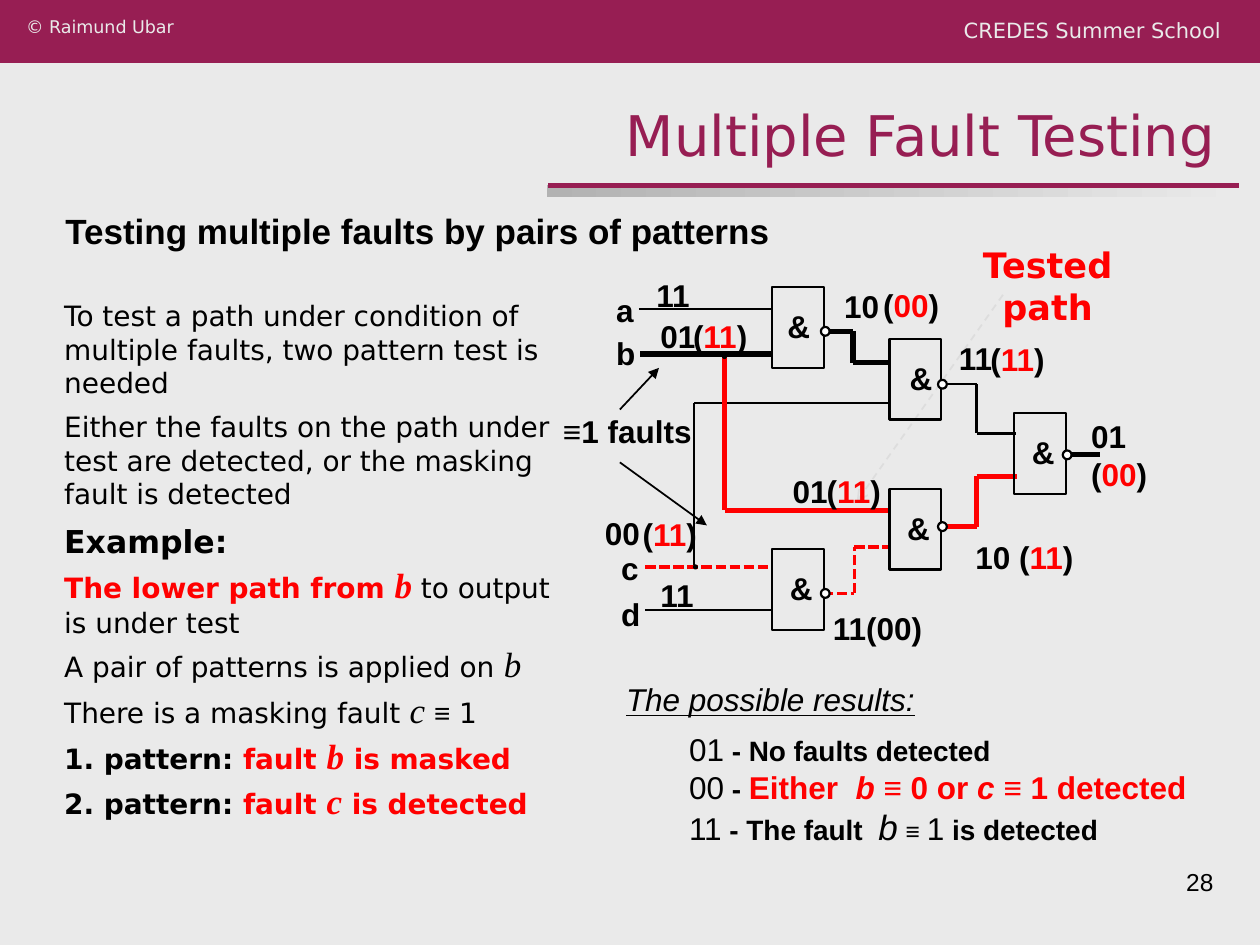
from dataclasses import dataclass

from lxml.etree import SubElement
from pptx import Presentation
from pptx.dml.color import RGBColor
from pptx.enum.dml import MSO_LINE_DASH_STYLE as Dash
from pptx.enum.shapes import MSO_CONNECTOR, MSO_SHAPE as Shape
from pptx.enum.text import MSO_ANCHOR as Anchor, PP_ALIGN as Align
from pptx.oxml.ns import qn
from pptx.util import Inches, Pt

PLUM, PALE, BLACK, RED, WHITE = "971E53", "EAEAEA", "000000", "FF0000", "FFFFFF"
SANS, ARIAL, SERIF = "DejaVu Sans", "Arial", "Times New Roman"
COLUMNS, ROWS = 100, 75
THIN, THICK, DASHED = 1.25, 3, 2
GATE_WIDTH, GATE_HEIGHT, BUBBLE, JUNCTION = 4.1, 6.4, 0.7, 0.4

prs = Presentation()
prs.slide_width, prs.slide_height = Inches(10), Inches(7.5)
slide = prs.slides.add_slide(prs.slide_layouts[5])


@dataclass
class Gate:
    x: float
    y: float
    sign_x: float
    output_y: float


@dataclass
class Wire:
    points: list
    color: str = BLACK
    width: float = THIN
    dash: object = None
    head: str = ""


@dataclass
class Label:
    x: float
    y: float
    width: float
    pieces: list


def rgb(color: str) -> RGBColor:
    return RGBColor.from_string(color)


def grid(*cells: float) -> list:
    """Turn alternating columns and rows into lengths."""
    units = (prs.slide_width / COLUMNS, prs.slide_height / ROWS)
    return [round(cell * units[i % 2]) for i, cell in enumerate(cells)]


def write(paragraph, text: str, size=18, font=ARIAL, color=BLACK,
          bold=False, italic=False, underline=False) -> None:
    run = paragraph.add_run()
    run.text = text
    face = run.font
    face.size, face.name, face.color.rgb = Pt(size), font, rgb(color)
    face.bold, face.italic, face.underline = bold, italic, underline


def fill_paragraph(paragraph, pieces: list, before=0, after=0, left=0,
                   align=Align.LEFT, **base) -> None:
    """Write pieces, each a string or a (string, format changes) pair."""
    paragraph.alignment = align
    paragraph.space_before, paragraph.space_after = Pt(before), Pt(after)
    if left:
        paragraph._p.get_or_add_pPr().set("marL", str(Inches(left)))
    for piece in pieces:
        text, changes = (piece, {}) if isinstance(piece, str) else piece
        write(paragraph, text, **{**base, **changes})


def add_text(box: tuple, paragraphs: list, wrap=False, inset=0.0,
             anchor=Anchor.TOP, **base) -> None:
    """Add a text box from (pieces, paragraph format) pairs."""
    frame = slide.shapes.add_textbox(*grid(*box)).text_frame
    frame.word_wrap, frame.vertical_anchor = wrap, anchor
    frame.margin_left = frame.margin_right = Inches(inset)
    frame.margin_top = frame.margin_bottom = Inches(inset / 2)
    for i, (pieces, layout) in enumerate(paragraphs):
        paragraph = frame.add_paragraph() if i else frame.paragraphs[0]
        fill_paragraph(paragraph, pieces, **{**base, **layout})


def add_block(kind, box: tuple, fill="", line=""):
    block = slide.shapes.add_shape(kind, *grid(*box))
    block.shadow.inherit = False
    if fill:
        block.fill.solid()
        block.fill.fore_color.rgb = rgb(fill)
    else:
        block.fill.background()
    if line:
        block.line.color.rgb, block.line.width = rgb(line), Pt(THIN)
    else:
        block.line.fill.background()
    return block


def add_wire(wire: Wire) -> None:
    for start, end in zip(wire.points, wire.points[1:]):
        segment = slide.shapes.add_connector(
            MSO_CONNECTOR.STRAIGHT, *grid(*start, *end))
        line = segment.line
        line.color.rgb, line.width = rgb(wire.color), Pt(wire.width)
        if wire.dash:
            line.dash_style = wire.dash
        if wire.head:
            SubElement(line._get_or_add_ln(), qn("a:tailEnd"), type=wire.head)
        SubElement(segment._element.spPr, qn("a:effectLst"))


def add_dot(x: float, y: float, size: float, **style) -> None:
    add_block(Shape.OVAL, (x - size / 2, y - size / 2, size, size), **style)


def add_gate(gate: Gate) -> None:
    add_block(Shape.RECTANGLE, (gate.x, gate.y, GATE_WIDTH, GATE_HEIGHT), line=BLACK)
    add_text((gate.sign_x, gate.y + 1.6, 2, 3), [(["&"], {})], bold=True)
    add_dot(gate.x + GATE_WIDTH + 0.1, gate.output_y, BUBBLE, fill=WHITE, line=BLACK)


def red(text: str, **changes) -> tuple:
    return text, {"color": RED, **changes}


def variable(name: str, **changes) -> tuple:
    return name, {"size": 20, "font": SERIF, "italic": True, **changes}


def bracketed(bits: str, lead="") -> list:
    return [lead + "(", red(bits), ")"]


# Background, header band and title rule
slide.background.fill.solid()
slide.background.fill.fore_color.rgb = rgb(PALE)
add_block(Shape.RECTANGLE, (0, 0, COLUMNS, 5), fill=PLUM)
rule_shade = add_block(Shape.RECTANGLE, (43.4, 14.7, 55.1, 0.9)).fill
rule_shade.gradient()
rule_shade.gradient_angle = 0
for stop, shade in zip(rule_shade.gradient_stops, ("B2B2B2", PALE)):
    stop.color.rgb = rgb(shade)
add_wire(Wire([(43.5, 14.7), (98.3, 14.7)], PLUM, THICK))
add_text((74.1, 0.9, 23.8, 3.2), [(["CREDES Summer School"], {})], inset=0.1,
         align=Align.RIGHT, size=12, font=SANS, color=PALE)
add_text((1.1, 0.8, 23.8, 3.2), [(["© Raimund Ubar"], {})], inset=0.1,
         size=10, font=SANS, color=PALE)

# Title
title = slide.shapes.title
title.left, title.top, title.width, title.height = grid(0, 7.5, 97.5, 6.3)
title.text_frame.vertical_anchor = Anchor.BOTTOM
fill_paragraph(title.text_frame.paragraphs[0], ["Multiple Fault Testing"],
               align=Align.RIGHT, size=32, font=SANS, color=PLUM)
add_text((4.2, 16.1, 58.1, 4.4), [(["Testing multiple faults by pairs of patterns"], {})],
         inset=0.1, anchor=Anchor.MIDDLE, size=20, bold=True)

# Explanation
strong = {"bold": True}
explanation = [
    (["To test a path under condition of multiple faults, two pattern test is needed"], {}),
    (["Either the faults on the path under test are detected, or the masking fault "
      "is detected"], {"before": 4}),
    (["Example:"], {"before": 4.5, "size": 18, **strong}),
    ([red("The lower path from ", **strong), variable("b", color=RED, **strong),
      " to output is under test"], {}),
    (["A pair of patterns is applied on ", variable("b")], {"after": 2.5}),
    (["There is a masking fault ", variable("c"), " ", ("≡", {"font": ARIAL}), " 1"], {}),
]
for number, name, outcome in ((1, "b", "masked"), (2, "c", "detected")):
    explanation.append(([f"{number}. pattern: ", red("fault "), variable(name, color=RED),
                         red(f" is {outcome}")], strong))
add_text((1.3, 23.7, 42.5, 47.3), explanation, wrap=True, after=2, left=0.38,
         size=16, font=SANS)

# Circuit wires
for wire in (
    Wire([(50.7, 24.5), (61.3, 24.5)]),
    Wire([(65.4, 26.3), (67.7, 26.3), (67.7, 28.8), (70.6, 28.8)], width=THICK),
    Wire([(70.6, 32), (55.1, 32), (55.1, 45)]),
    Wire([(74.7, 30.5), (77.5, 30.5), (77.5, 34.4), (80.6, 34.4)]),
    Wire([(57.5, 28.1), (57.5, 31.3), (57.5, 40.5), (70.6, 40.5)], RED, THICK),
    Wire([(74.7, 41.8), (77.5, 41.8), (77.5, 37.8), (80.7, 37.8)], RED, THICK),
    Wire([(84.7, 36.1), (87.3, 36.1)], width=THICK),
    Wire([(65.3, 47.1), (67.8, 47.1), (67.8, 43.4), (70.7, 43.4)], RED, DASHED,
         Dash.SQUARE_DOT),
    Wire([(51.2, 45), (61.3, 45)], RED, DASHED, Dash.SQUARE_DOT),
    Wire([(50.8, 28.1), (61.3, 28.1)], width=THICK),
    Wire([(51.2, 48.4), (61.3, 48.4)]),
    Wire([(49.2, 32.5), (52.3, 29.2)], width=1, head="triangle"),
    Wire([(49.2, 36.7), (56.1, 41.7)], width=1, head="triangle"),
    Wire([(79.6, 23.4), (68, 39.8)], "DDDDDD", 1, Dash.DASH, "arrow"),
):
    add_wire(wire)

# Gates and junctions
for gate in (Gate(61.3, 22.8, 62.5, 26.3), Gate(70.6, 26.9, 72.2, 30.5),
             Gate(80.5, 32.8, 81.9, 36.1), Gate(70.6, 38.8, 72, 41.8),
             Gate(61.3, 43.6, 62.7, 47.1)):
    add_gate(gate)
for junction in ((57.5, 28.3), (55.2, 45)):
    add_dot(*junction, JUNCTION, fill=BLACK)

# Signal names and values
for label in (
    Label(48.9, 23.1, 1.5, ["a"]), Label(48.9, 26.5, 1.5, ["b"]),
    Label(49.3, 43.6, 1.5, ["c"]), Label(49.3, 47.2, 1.5, ["d"]),
    Label(52.1, 21.9, 2.8, ["11"]), Label(52.4, 45.7, 2.8, ["11"]),
    Label(52.4, 25.2, 2.8, ["01"]), Label(55, 25.2, 6.2, bracketed("11")),
    Label(67, 22.8, 2.8, ["10"]), Label(70.1, 22.7, 6.2, bracketed("00")),
    Label(76.1, 26.9, 2.8, ["11"]), Label(78.6, 27, 6.2, bracketed("11")),
    Label(62.9, 37.5, 2.8, ["01"]), Label(65.6, 37.5, 6.2, bracketed("11")),
    Label(48, 40.8, 2.8, ["00"]), Label(51, 40.9, 6.2, bracketed("11")),
    Label(66.1, 48.3, 7.2, ["11(00)"]),
    Label(77.4, 42.7, 9.1, bracketed("11", "10 ")),
    Label(86.6, 33.1, 7.9, bracketed("00", "01 ")),
):
    add_text((label.x, label.y, label.width, 3), [(label.pieces, {})],
             wrap=label.width in (6.2, 9.1), bold=True)
add_text((43.7, 32.2, 12.7, 4), [(["≡1 faults"], {})], inset=0.1,
         anchor=Anchor.MIDDLE, bold=True)
add_text((74.5, 18.8, 17.3, 7.7), [(["Tested path"], {})], wrap=True, inset=0.1,
         align=Align.CENTER, size=20, font=SANS, color=RED, bold=True)

# Possible results
note = {"size": 16, "bold": True}
claim = {"color": RED, "bold": True}
add_text((48.7, 53.5, 47.5, 14.3), [
    (["The possible results:"], {"after": 6.8, "italic": True, "underline": True}),
    (["01", (" - No faults detected", note)], {"left": 0.5}),
    (["00", (" - ", note), ("Either  ", claim), ("b ", {**claim, "italic": True}),
      ("≡ 0 or ", claim), ("c ", {**claim, "italic": True}), ("≡ 1 detected", claim)],
     {"left": 0.5}),
    (["11", (" - The fault  ", note), ("b", {"size": 20, "italic": True}), (" ", note),
      ("≡ ", {"size": 14}), "1", (" is detected", note)], {"left": 0.5}),
], inset=0.1, anchor=Anchor.MIDDLE)

# Page number
add_text((71.7, 68.3, 25.6, 5.2), [(["28"], {})], wrap=True, inset=0.1,
         align=Align.RIGHT, size=14)

prs.save("out.pptx")
